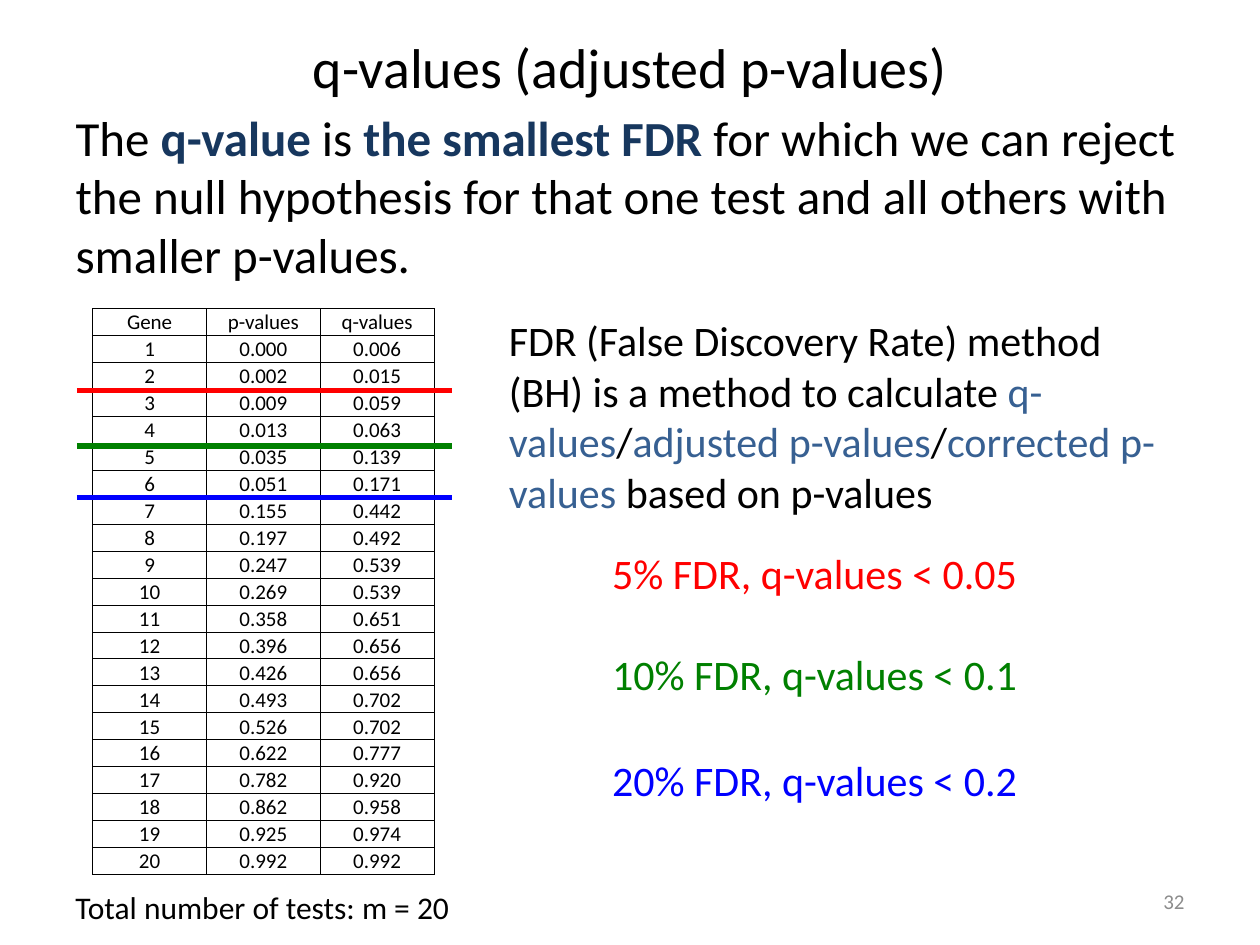
"""Build the slide that explains q-values and FDR cut-offs."""
from lxml import etree
from pptx import Presentation
from pptx import util as u
from pptx.dml.color import RGBColor
from pptx.enum import shapes, text
from pptx.oxml import ns

BLACK = RGBColor(0x00, 0x00, 0x00)
NAVY = RGBColor(0x17, 0x37, 0x5E)
STEEL = RGBColor(0x37, 0x60, 0x92)
RED = RGBColor(0xFF, 0x00, 0x00)
GREEN = RGBColor(0x00, 0x80, 0x00)
BLUE = RGBColor(0x00, 0x00, 0xFF)
GRAY = RGBColor(0x8C, 0x8C, 0x8C)

FONT = "Calibri"
COLUMN_WIDTH = 65
ROW_HEIGHT = 15.4

HEADINGS = ("Gene", "p-values", "q-values")
P_VALUES = (0.000, 0.002, 0.009, 0.013, 0.035, 0.051, 0.155, 0.197, 0.247, 0.269,
            0.358, 0.396, 0.426, 0.493, 0.526, 0.622, 0.782, 0.862, 0.925, 0.992)
Q_VALUES = (0.006, 0.015, 0.059, 0.063, 0.139, 0.171, 0.442, 0.492, 0.539, 0.539,
            0.651, 0.656, 0.656, 0.702, 0.702, 0.777, 0.920, 0.958, 0.974, 0.992)

DEFINITION = (
    ("The ", BLACK, False),
    ("q-value ", NAVY, True),
    ("is ", BLACK, False),
    ("the smallest FDR ", NAVY, True),
    ("for which we can reject the null hypothesis for that one test "
     "and all others with smaller p-values.", BLACK, False),
)
METHOD = (
    ("FDR (False Discovery Rate) method (BH) is a method to calculate ", BLACK, False),
    ("q-values", STEEL, False),
    ("/", BLACK, False),
    ("adjusted p-values", STEEL, False),
    ("/", BLACK, False),
    ("corrected p-values", STEEL, False),
    (" based on p-values", BLACK, False),
)
CUTOFFS = (
    ("5% FDR, q-values < 0.05", RED, 223.2, 303.8),
    ("10% FDR, q-values < 0.1", GREEN, 254.9, 361.4),
    ("20% FDR, q-values < 0.2", BLUE, 284.4, 421.9),
)


def write_text(frame, spans, size=24, color=BLACK, align=text.PP_ALIGN.LEFT,
               anchor=text.MSO_ANCHOR.TOP, spacing=None, wrap=True, plain=False):
    """Fill a text frame with one paragraph of formatted spans."""
    if isinstance(spans, str):
        spans = ((spans, color, False),)
    frame.word_wrap = wrap
    frame.vertical_anchor = anchor
    para = frame.paragraphs[0]
    if plain:
        properties = para._p.get_or_add_pPr()
        properties.set("marL", "0")
        properties.set("indent", "0")
        etree.SubElement(properties, ns.qn("a:buNone"))
    para.alignment = align
    para.space_before = u.Pt(0)
    if spacing:
        para.line_spacing = spacing
    for words, span_color, bold in spans:
        span = para.add_run()
        span.text = words
        span.font.name = FONT
        span.font.size = u.Pt(size)
        span.font.bold = bold
        span.font.color.rgb = span_color


def fill_placeholder(box, left, top, width, height, spans, **style):
    """Move a placeholder and write its text."""
    box.left, box.top, box.width, box.height = map(u.Pt, (left, top, width, height))
    box.text_frame.auto_size = text.MSO_AUTO_SIZE.NONE
    write_text(box.text_frame, spans, **style)


def add_text(parent, left, top, width, height, spans, **style):
    """Add a text box to a slide or group."""
    box = parent.shapes.add_textbox(*map(u.Pt, (left, top, width, height)))
    write_text(box.text_frame, spans, **style)


def add_borders(cell):
    """Draw a thin black border on all sides of a cell."""
    properties = cell._tc.get_or_add_tcPr()
    for side in ("a:lnL", "a:lnR", "a:lnT", "a:lnB"):
        line = etree.SubElement(properties, ns.qn(side), w=str(u.Pt(0.5)))
        fill = etree.SubElement(line, ns.qn("a:solidFill"))
        etree.SubElement(fill, ns.qn("a:srgbClr"), val=str(BLACK))


def add_value_table(page, left, top):
    """Add the table of genes with their p-values and q-values."""
    rows = [HEADINGS]
    for gene, (p_value, q_value) in enumerate(zip(P_VALUES, Q_VALUES), start=1):
        rows.append((str(gene), f"{p_value:.3f}", f"{q_value:.3f}"))
    table = page.shapes.add_table(
        len(rows), len(HEADINGS), u.Pt(left), u.Pt(top),
        u.Pt(COLUMN_WIDTH * len(HEADINGS)), u.Pt(ROW_HEIGHT * len(rows))).table
    table.first_row = table.horz_banding = False
    for column in table.columns:
        column.width = u.Pt(COLUMN_WIDTH)
    for table_row, values in zip(table.rows, rows):
        table_row.height = u.Pt(ROW_HEIGHT)
        for cell, value in zip(table_row.cells, values):
            cell.margin_left = cell.margin_right = cell.margin_top = u.Pt(0.7)
            cell.margin_bottom = u.Pt(0)
            add_borders(cell)
            cell.fill.background()
            cell.vertical_anchor = text.MSO_ANCHOR.BOTTOM
            write_text(cell.text_frame, value, size=12, align=text.PP_ALIGN.CENTER)


def add_cutoff(page, label, color, line_top, label_top):
    """Add a group of a cut-off line across the table and its label."""
    group = page.shapes.add_group_shape()
    line = group.shapes.add_connector(
        shapes.MSO_CONNECTOR.STRAIGHT,
        u.Pt(44), u.Pt(line_top), u.Pt(258.5), u.Pt(line_top))
    line.line.color.rgb = color
    line.line.width = u.Pt(3)
    etree.SubElement(line._element.spPr, ns.qn("a:effectLst"))
    add_text(group, 342.7, label_top, 259, 41, label, color=color, spacing=1.2)


def main():
    """Build and save the deck."""
    deck = Presentation()
    deck.slide_width, deck.slide_height = u.Pt(720), u.Pt(540)
    page = deck.slides.add_slide(deck.slide_layouts[1])
    title, body = page.placeholders
    fill_placeholder(title, 36, 15, 648, 45, "q-values (adjusted p-values)", size=32,
                     align=text.PP_ALIGN.CENTER, anchor=text.MSO_ANCHOR.MIDDLE)
    fill_placeholder(body, 36, 57.6, 660, 106.6, DEFINITION, size=28, plain=True)
    add_value_table(page, 53, 176.4)
    add_text(page, 36, 504, 232.6, 29, "Total number of tests: m = 20",
             size=18, wrap=False)
    for cutoff in CUTOFFS:
        add_cutoff(page, *cutoff)
    add_text(page, 283.7, 176.4, 400.3, 124, METHOD)
    add_text(page, 516, 500.4, 168, 28.8, "32", size=12, color=GRAY,
             align=text.PP_ALIGN.RIGHT, anchor=text.MSO_ANCHOR.MIDDLE)
    deck.save("out.pptx")


if __name__ == "__main__":
    main()
